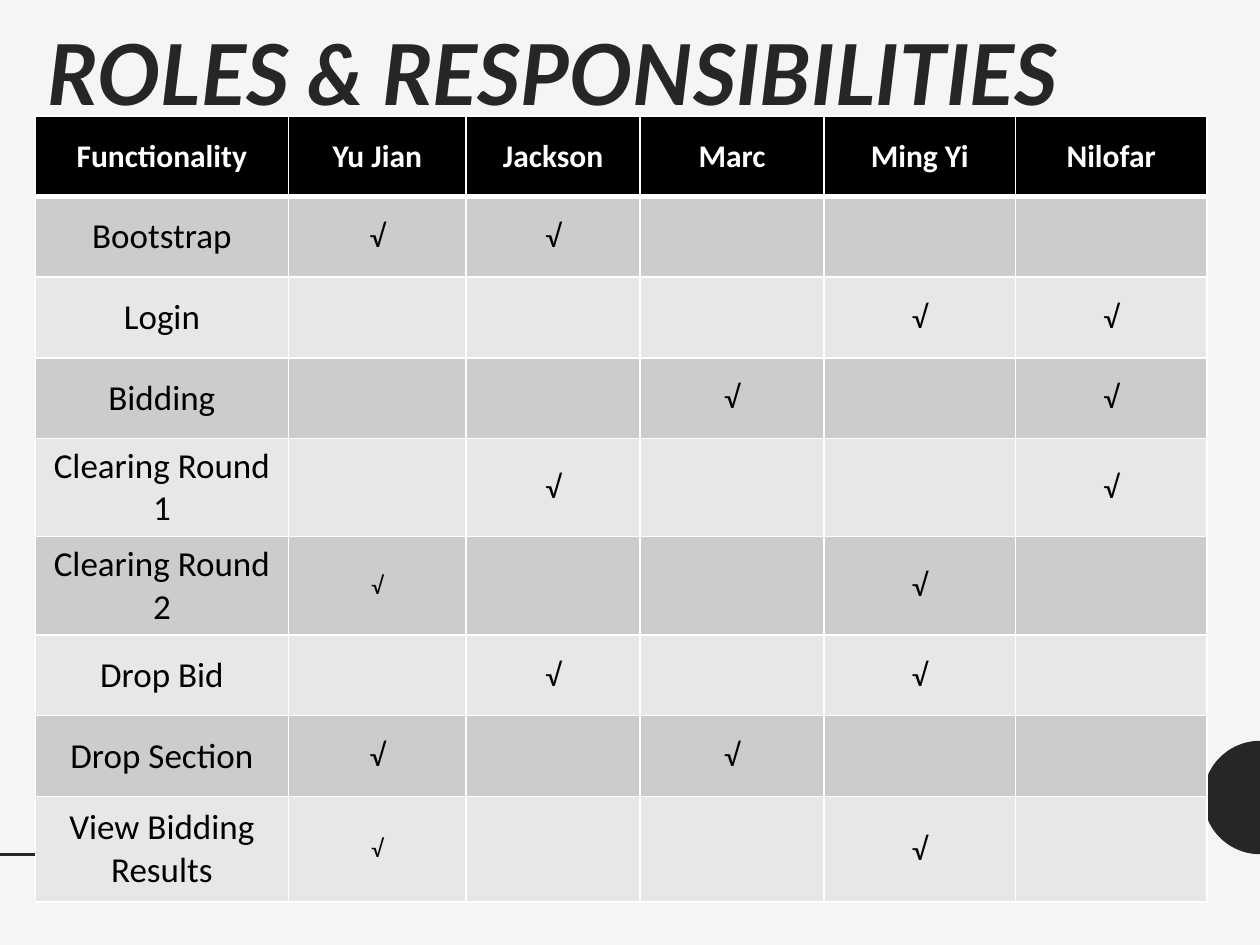
import math

import lxml.etree
import pptx
import pptx.dml.color
import pptx.enum.shapes
import pptx.enum.text
import pptx.oxml.ns
import pptx.util

Inches = pptx.util.Inches
Pt = pptx.util.Pt
qn = pptx.oxml.ns.qn

DARK = "262626"
NAMES = ["Functionality", "Yu Jian", "Jackson", "Marc", "Ming Yi", "Nilofar"]
TASKS = [
    ("Bootstrap", {1: 18, 2: 18}),
    ("Login", {4: 18, 5: 18}),
    ("Bidding", {3: 18, 5: 18}),
    ("Clearing Round 1", {2: 18, 5: 18}),
    ("Clearing Round 2", {1: 14, 4: 18}),
    ("Drop Bid", {2: 18, 4: 18}),
    ("Drop Section", {1: 18, 3: 18}),
    ("View Bidding Results", {1: 14, 4: 18}),
]
WIDTHS = [2.01, 1.41, 1.38, 1.46, 1.52, 1.52]
HEIGHTS = [0.64, 0.64, 0.64, 0.64, 0.69, 0.69, 0.64, 0.64, 0.84]


def paint(target, color):
    target.solid()
    target.fore_color.rgb = pptx.dml.color.RGBColor.from_string(color)


def write(frame, text, size=18, font="Calibri", color="000000", bold=False,
          italic=False, align=None, space=None):
    para = frame.paragraphs[0]
    para.alignment = align
    para.line_spacing = space
    run = para.add_run()
    run.text = text
    run.font.size = Pt(size)
    run.font.name = font
    run.font.bold = bold
    run.font.italic = italic
    paint(run.font.fill, color)


def edge(cell, bottom):
    props = cell._tc.get_or_add_tcPr()
    for side, width in (("L", 1), ("R", 1), ("T", 1), ("B", bottom)):
        line = lxml.etree.SubElement(props, qn("a:ln" + side), w=str(Pt(width)))
        fill = lxml.etree.SubElement(line, qn("a:solidFill"))
        lxml.etree.SubElement(fill, qn("a:srgbClr"), val="FFFFFF")


def fill_cell(cell, text, fill, bottom=1, **style):
    edge(cell, bottom)
    paint(cell.fill, fill)
    cell.vertical_anchor = pptx.enum.text.MSO_ANCHOR.MIDDLE
    if text:
        write(cell.text_frame, text, align=pptx.enum.text.PP_ALIGN.CENTER, **style)


def add_grid(slide):
    frame = slide.shapes.add_table(
        len(HEIGHTS), len(WIDTHS), Inches(0.28), Inches(0.92),
        Inches(sum(WIDTHS)), Inches(sum(HEIGHTS)))
    table = frame.table
    for column, width in zip(table.columns, WIDTHS):
        column.width = Inches(width)
    for row, height in zip(table.rows, HEIGHTS):
        row.height = Inches(height)
    for col, name in enumerate(NAMES):
        cell = table.cell(0, col)
        cell.margin_left = cell.margin_right = 0
        cell.margin_top = cell.margin_bottom = 0
        fill_cell(cell, name, "000000", bottom=3, color="FFFFFF", bold=True)
    for row, (task, marks) in enumerate(TASKS, 1):
        band = "CCCCCC" if row % 2 else "E7E7E7"
        fill_cell(table.cell(row, 0), task, band, size=20)
        for col in range(1, len(NAMES)):
            mark = "√" if col in marks else ""
            fill_cell(table.cell(row, col), mark, band, size=marks.get(col, 18))


def add_disc(slide, x, y, radius):
    points = []
    for step in range(49):
        turn = math.pi * step / 48
        points.append((Inches(x - radius * math.sin(turn)),
                       Inches(y - radius * math.cos(turn))))
    path = slide.shapes.build_freeform(*points[0])
    path.add_line_segments(points[1:], close=True)
    disc = path.convert_to_shape()
    disc.shadow.inherit = False
    paint(disc.fill, DARK)
    disc.line.fill.background()


def add_rule(slide, x, y, end):
    rule = slide.shapes.add_connector(
        pptx.enum.shapes.MSO_CONNECTOR.STRAIGHT,
        Inches(x), Inches(y), Inches(end), Inches(y))
    rule.line.width = Pt(2)
    paint(rule.line.fill, DARK)
    lxml.etree.SubElement(rule._element.spPr, qn("a:effectLst"))


def add_title(slide, text):
    box = slide.shapes.add_textbox(
        Inches(0.28), Inches(0.21), Inches(8.98), Inches(5.42))
    box.text_frame.word_wrap = True
    write(box.text_frame, text, size=48, font="Lato", color=DARK,
          bold=True, italic=True, space=0.9)


def main():
    deck = pptx.Presentation()
    deck.slide_width = Inches(10)
    deck.slide_height = Inches(7.5)
    slide = deck.slides.add_slide(deck.slide_layouts[6])
    paint(slide.background.fill, "F5F5F5")
    add_disc(slide, 10, 6.33, 0.45)
    add_rule(slide, 0, 6.78, 3.69)
    add_grid(slide)
    add_title(slide, "ROLES & RESPONSIBILITIES")
    deck.save("out.pptx")


if __name__ == "__main__":
    main()
